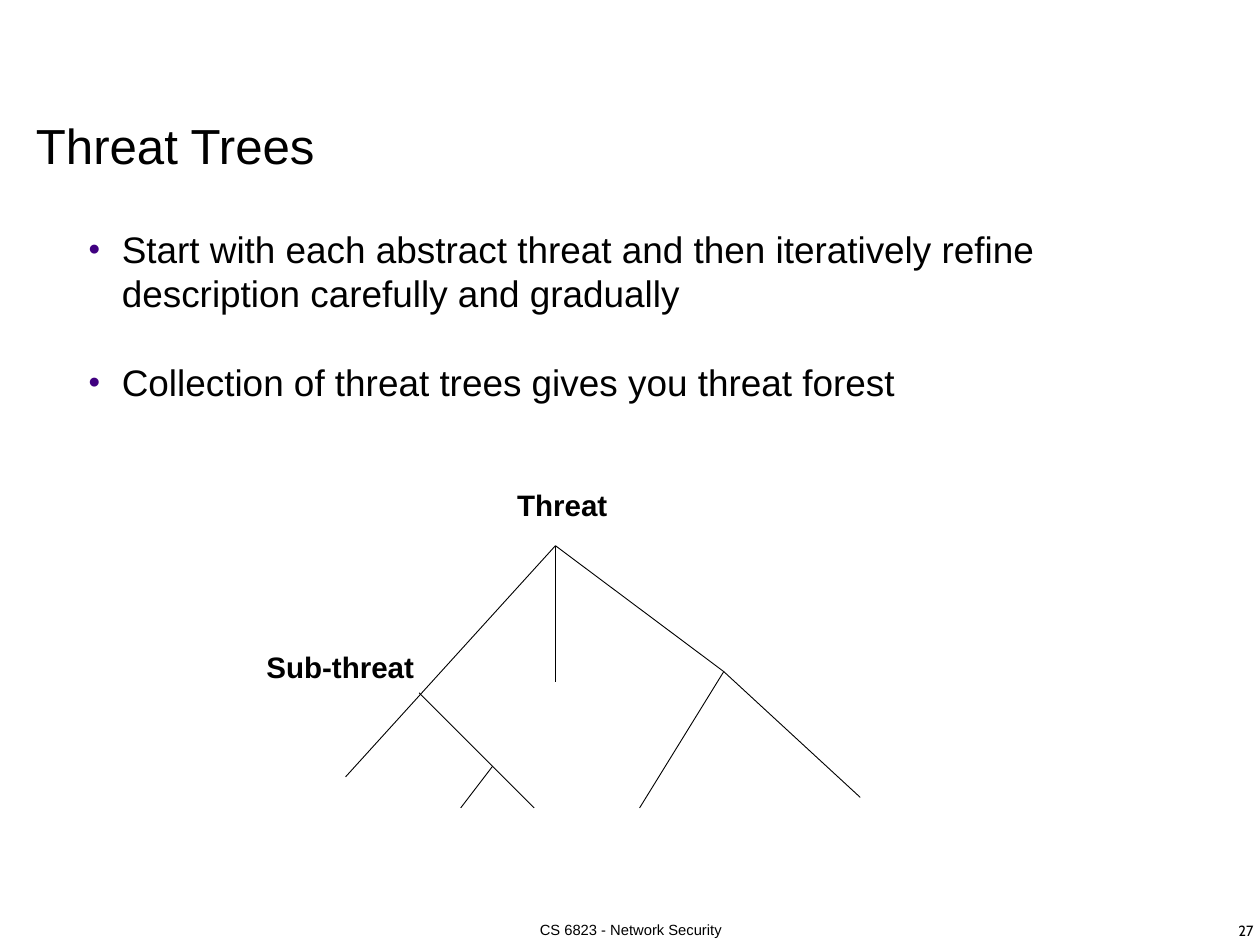
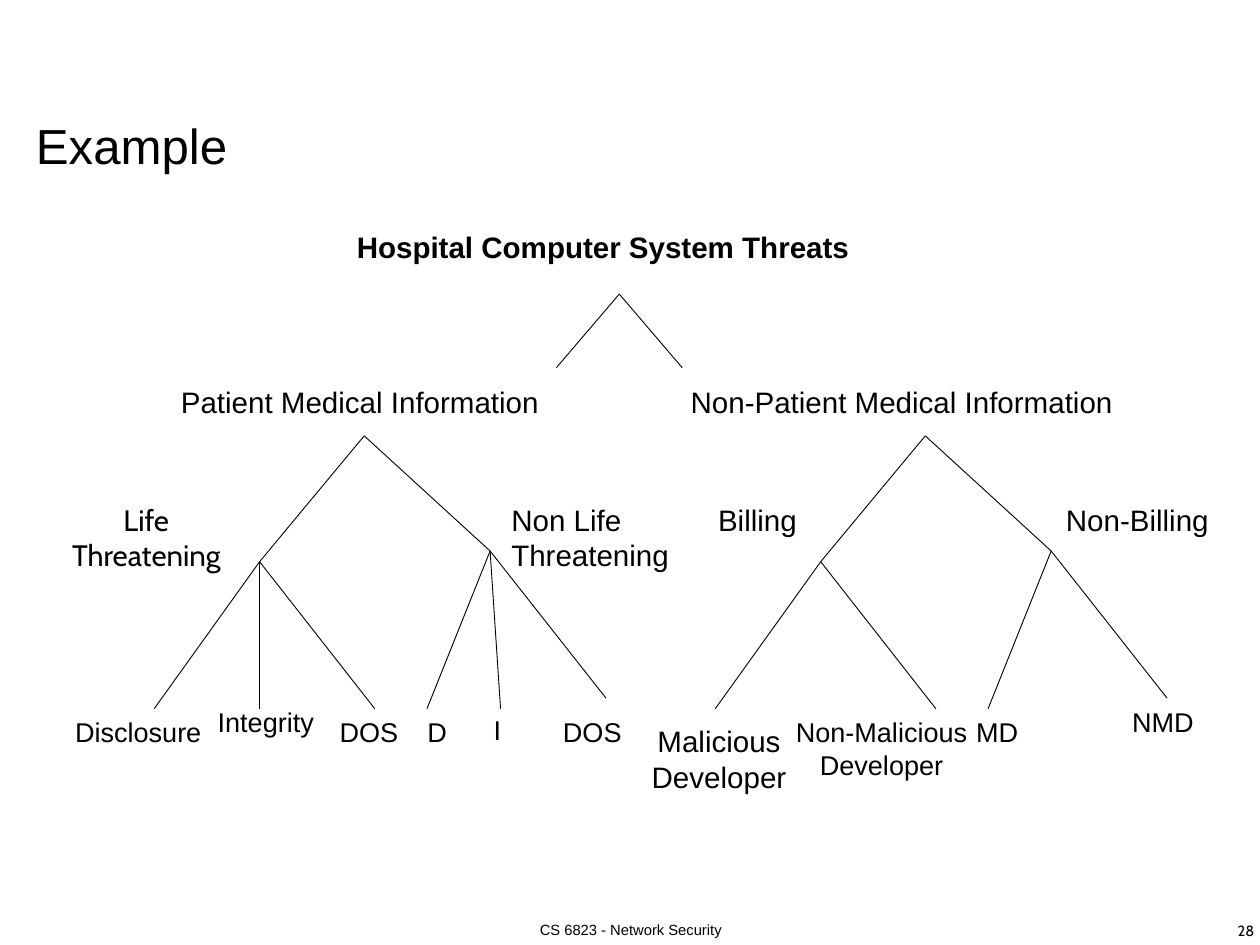
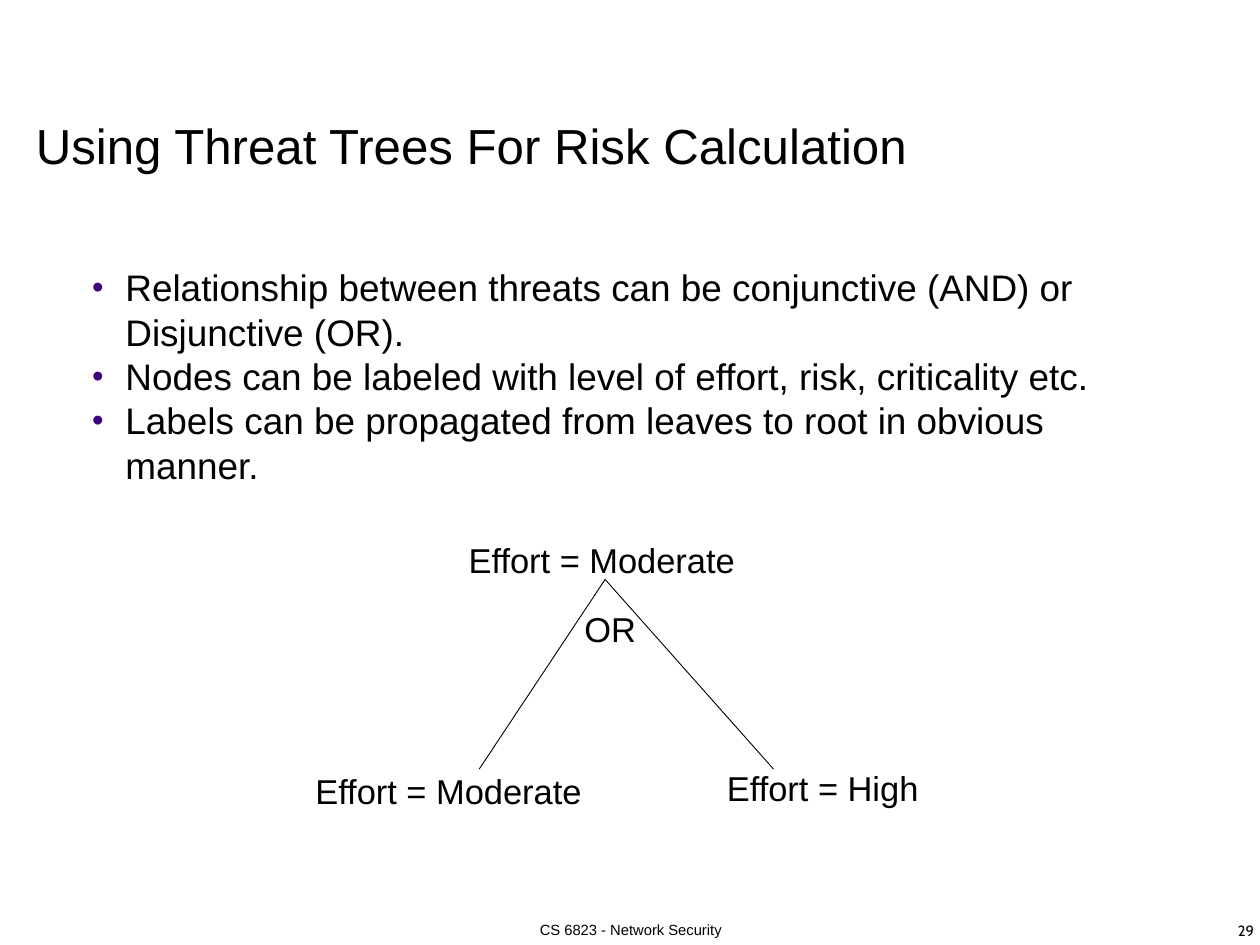
from pptx import Presentation
from pptx.util import Pt
from pptx.dml.color import RGBColor
from pptx.enum.shapes import MSO_CONNECTOR
from pptx.enum.text import MSO_ANCHOR, PP_ALIGN
from pptx.oxml.ns import qn
from lxml.etree import SubElement

HUES = {"ink": "000000", "dot": "400080", "page": "FFFFFF"}
FOOT = "CS 6823 - Network Security"
FIRST = 27

# Branches of the hospital tree: fork, then its ends; SHIFT moves the right half
SHIFT = 456
HALF = [
    ((296, 354.2), [(211, 456.5), (398.3, 447.8)]),
    ((211, 456.5), [(125.3, 576), (304.6, 576)]),
    ((398.3, 447.8), [(347, 576), (492.5, 567.4)]),
]

# Labels: lines, left, top, width, size, then options
SLIDES = [
    {
        "title": "Threat Trees",
        "body": (67.7, 180, 163, 36, [
            "Start with each abstract threat and then iteratively refine "
            "description carefully and gradually",
            "Collection of threat trees gives you threat forest",
        ]),
        "tree": [
            ((451.4, 443.5), [(280.8, 631.4), (451.4, 554.4), (588.2, 545.8)]),
            ((340.6, 563), [(400.3, 622.8)]),
            ((588.2, 545.8), [(519.8, 656.6), (699.1, 648)]),
            ((400.3, 622.8), [(374.4, 656.6), (434.2, 656.6)]),
        ],
        "labels": [
            (["Threat"], 380.2, 390.2, 153.4, 24, {"bold": True}),
            (["Sub-threat"], 204.5, 521.3, 144, 24, {"bold": True}),
        ],
    },
    {
        "title": "Example",
        "tree": [
            ((503.3, 239), [(452.2, 298.8), (554.4, 298.8)]),
            *HALF,
            *[((x + SHIFT, y), [(a + SHIFT, b) for a, b in ends])
              for (x, y), ends in HALF],
            ((211, 456.5), [(211, 576)]),
            ((398.3, 447.8), [(406.8, 576)]),
        ],
        "labels": [
            (["Hospital Computer System Threats"], 276.5, 180, 427, 24,
             {"bold": True}),
            (["Patient Medical Information"], 134, 306, 316.8, 24, {}),
            (["Non-Patient Medical Information"], 548, 306, 369.4, 24, {}),
            (["Life", "Threatening"], 26, 401.8, 185.8, 24, {"face": "Cabin"}),
            (["Non Life", "Threatening"], 404, 401.8, 152.6, 24,
             {"align": PP_ALIGN.LEFT}),
            (["Billing"], 571.7, 401.8, 87.8, 24, {}),
            (["Non-Billing"], 854, 401.8, 140.4, 24, {}),
            (["Disclosure"], 49, 576, 126.7, 22, {}),
            (["Integrity"], 164.9, 567.4, 102.2, 22, {}),
            (["DOS"], 264.2, 576, 71.3, 22, {}),
            (["D"], 335.5, 576, 39.6, 22, {}),
            (["I"], 389.5, 573.8, 29.5, 22, {}),
            (["DOS"], 445.7, 576, 71.3, 22, {}),
            (["Malicious", "Developer"], 517.7, 581.8, 133.2, 24, {}),
            (["Non-Malicious", "Developer"], 634.3, 576, 164.2, 22, {}),
            (["MD"], 778.4, 576, 64, 22, {}),
            (["NMD"], 908, 567.4, 74.2, 22, {}),
        ],
    },
    {
        "title": "Using Threat Trees For Risk Calculation",
        "body": (70.6, 211, 200, 0, [
            "Relationship between threats can be conjunctive (AND) or "
            "Disjunctive (OR).",
            "Nodes can be labeled with level of effort, risk, criticality etc.",
            "Labels can be propagated from leaves to root in obvious manner.",
        ]),
        "tree": [((491.8, 470.9), [(389.5, 625), (628.6, 625)])],
        "labels": [
            (["OR"], 458, 488.2, 75.6, 28, {}),
            (["Effort = Moderate"], 368, 432, 242, 28, {}),
            (["Effort = Moderate"], 243.4, 620, 242, 28, {}),
            (["Effort = High"], 578.2, 617.8, 180.7, 28, {}),
        ],
    },
]


def hue(name):
    return RGBColor.from_string(HUES[name])


def write(slide, lines, left, top, wide, high, size, face="Arial", bold=False,
          align=PP_ALIGN.CENTER, anchor=MSO_ANCHOR.TOP, pad=(0, 0),
          wrap=False):
    box = slide.shapes.add_textbox(Pt(left), Pt(top), Pt(wide), Pt(high))
    frame = box.text_frame
    frame.word_wrap = wrap
    frame.vertical_anchor = anchor
    frame.margin_left = frame.margin_right = Pt(pad[0])
    frame.margin_top = frame.margin_bottom = Pt(pad[1])
    frame.text = "\n".join(lines)
    for para in frame.paragraphs:
        para.alignment = align
        font = para.font
        font.name, font.size, font.bold = face, Pt(size), bold
        font.color.rgb = hue("ink")
    return frame


def bullet(para):
    props = para._p.get_or_add_pPr()
    props.set("marL", str(Pt(27)))
    props.set("indent", str(-Pt(27)))
    tint = SubElement(props, qn("a:buClr"))
    SubElement(tint, qn("a:srgbClr")).set("val", HUES["dot"])
    marks = [tint]
    for tag, key, val in (("a:buSzPct", "val", "89000"),
                          ("a:buFont", "typeface", "Arial"),
                          ("a:buChar", "char", "•")):
        mark = SubElement(props, qn(tag))
        mark.set(key, val)
        marks.append(mark)
    # Bullet marks must stand before the default run properties
    last = props.find(qn("a:defRPr"))
    for mark in marks:
        last.addprevious(mark)


def list_out(slide, left, top, high, gap, items):
    frame = write(slide, items, left, top, 880, high, 30,
                  align=PP_ALIGN.LEFT, pad=(4.3, 4.3), wrap=True)
    for para in frame.paragraphs:
        bullet(para)
    for para in frame.paragraphs[1:]:
        para.space_before = Pt(gap)


def branch(slide, start, end):
    line = slide.shapes.add_connector(
        MSO_CONNECTOR.STRAIGHT, *[Pt(v) for v in (*start, *end)])
    line.line.color.rgb = hue("ink")
    line.line.width = Pt(0.75)
    SubElement(line._element.spPr, qn("a:effectLst"))


def base(deck, title, num):
    slide = deck.slides.add_slide(deck.slide_layouts[6])
    write(slide, [FOOT], 437.8, 744.5, 149.8, 22.3, 12,
          anchor=MSO_ANCHOR.MIDDLE)
    write(slide, [title], 25.2, 71.3, 975, 75, 40, align=PP_ALIGN.LEFT,
          anchor=MSO_ANCHOR.BOTTOM, pad=(4, 4.3), wrap=True)
    write(slide, [str(num)], 1002.2, 745.2, 20.9, 22.3, 12, face="Cabin",
          pad=(0, 3.6))
    return slide


def main():
    deck = Presentation()
    deck.slide_width, deck.slide_height = Pt(1024), Pt(768)
    back = deck.slide_master.background.fill
    back.solid()
    back.fore_color.rgb = hue("page")
    for num, page in enumerate(SLIDES, FIRST):
        slide = base(deck, page["title"], num)
        if "body" in page:
            list_out(slide, *page["body"])
        for fork, ends in page["tree"]:
            for end in ends:
                branch(slide, fork, end)
        for lines, left, top, wide, size, opts in page["labels"]:
            high = len(lines) * size * 1.2 + 11.6
            write(slide, lines, left, top, wide, high, size,
                  pad=(11.5, 5.8), **opts)
    deck.save("out.pptx")


if __name__ == "__main__":
    main()
